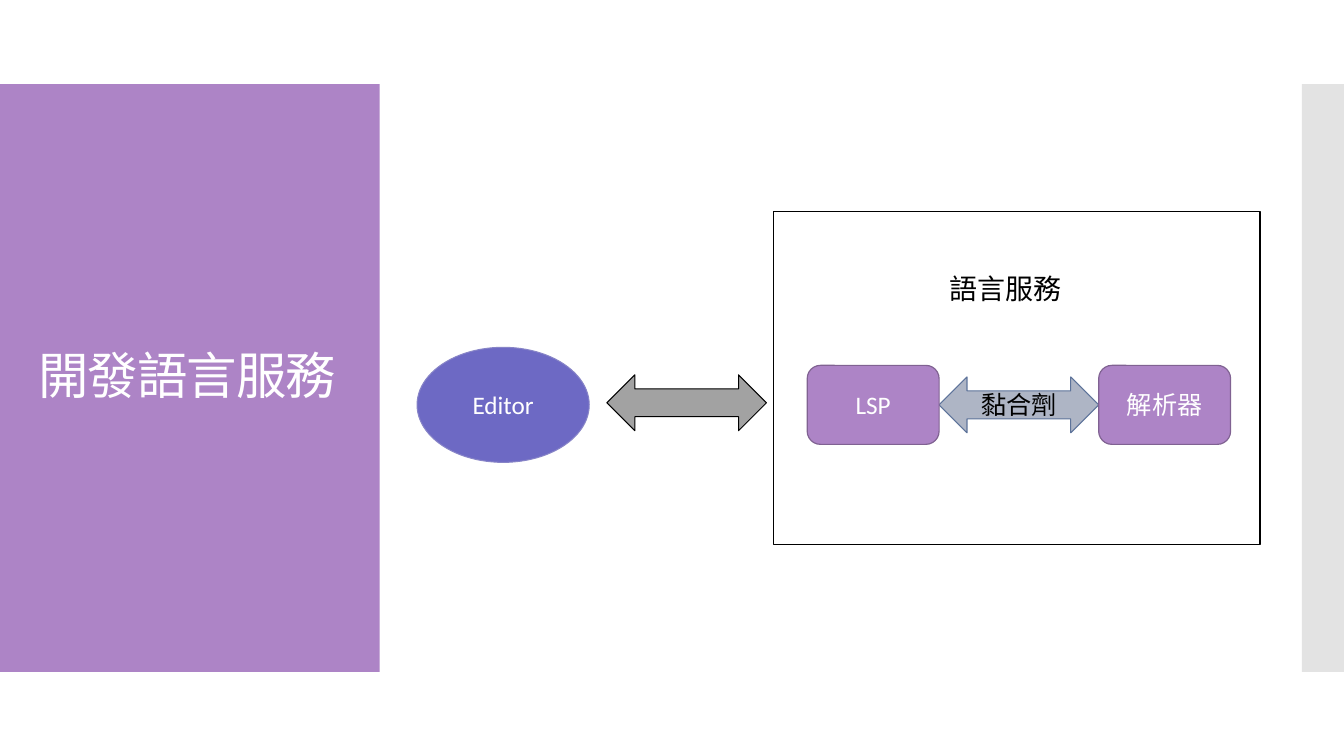
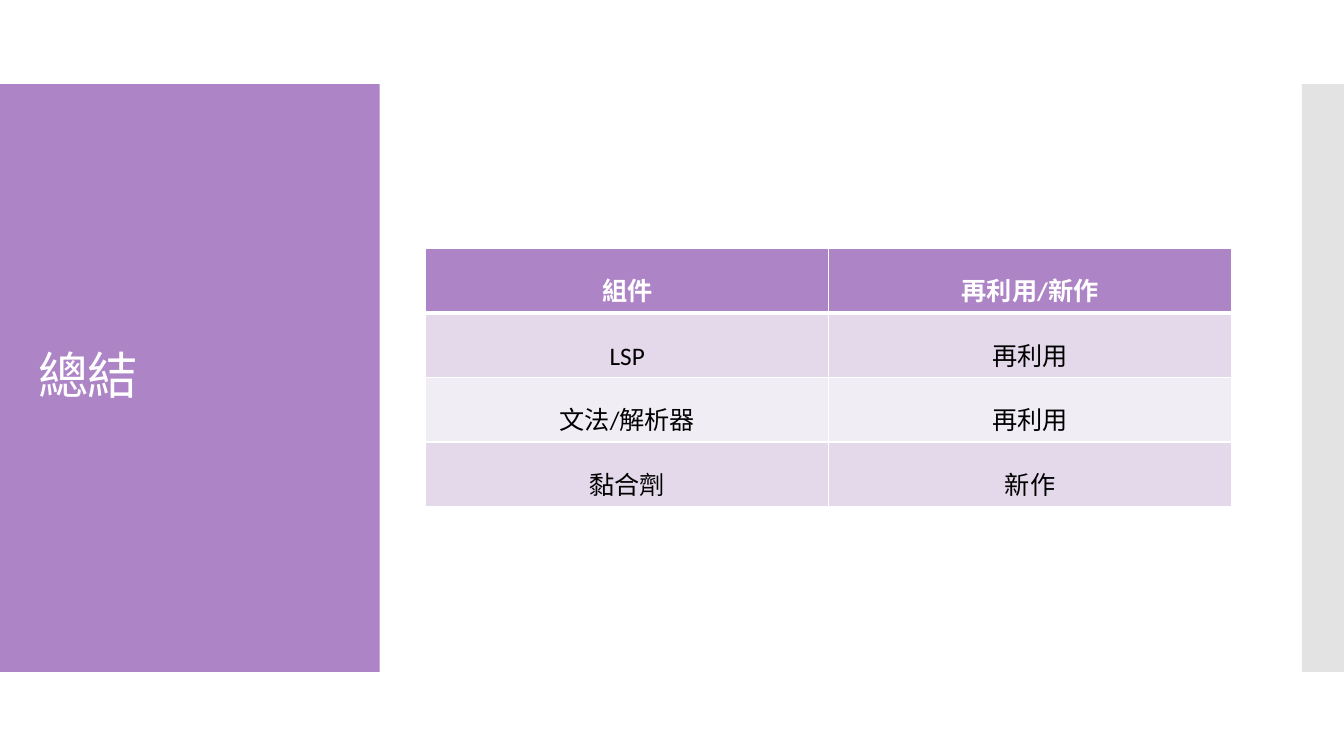
from dataclasses import dataclass
from typing import Optional

from lxml.etree import SubElement
from pptx import Presentation
from pptx.dml.color import RGBColor
from pptx.enum.shapes import MSO_SHAPE as Shape
from pptx.enum.text import MSO_ANCHOR as Anchor, PP_ALIGN as Align
from pptx.oxml.ns import qn
from pptx.util import Emu, Pt

# The slide is a grid of 32 columns by 18 rows of square cells
COLUMNS, ROWS = 32, 18
CELL = 381000


# Theme
@dataclass(frozen=True)
class Theme:
    font: str = "Calibri"
    language: str = "zh-TW"
    white: str = "FFFFFF"
    black: str = "000000"
    purple: str = "AD84C6"
    purple_edge: str = "806292"
    band_grey: str = "E3E3E3"
    indigo: str = "6D69C4"
    indigo_edge: str = "8784C7"
    steel: str = "AEB5C5"
    steel_edge: str = "5D739A"
    grey: str = "A2A2A2"
    row_dark: str = "E3D9EA"
    row_light: str = "F1EDF5"
    title_size: float = 36
    label_size: float = 20
    body_size: float = 18


THEME = Theme()


@dataclass(frozen=True)
class Area:
    left: float
    top: float
    width: float
    height: float

    def emu(self) -> list[Emu]:
        return [grid(n) for n in (self.left, self.top, self.width, self.height)]


@dataclass(frozen=True)
class Block:
    kind: Shape
    area: Area
    fill: str
    edge: Optional[str] = None
    edge_width: float = 0.75
    text: str = ""
    color: str = THEME.white


def grid(cells: float) -> Emu:
    return Emu(round(cells * CELL))


def centred(left: float, middle: float, width: float, height: float) -> Area:
    return Area(left, middle - height / 2, width, height)


# Drawing helpers
def add_span(para, text: str, size: float, color: str,
             bold: bool = False, spacing: Optional[int] = None) -> None:
    span = para.add_run()
    span.text = text
    span.font.name = THEME.font
    span.font.size = Pt(size)
    span.font.bold = bold
    span.font.color.rgb = RGBColor.from_string(color)
    properties = span._r.get_or_add_rPr()
    properties.set("lang", THEME.language)
    if spacing is not None:
        properties.set("spc", str(spacing))


def add_block(page, block: Block) -> None:
    shape = page.shapes.add_shape(block.kind, *block.area.emu())
    shape.shadow.inherit = False
    shape.fill.solid()
    shape.fill.fore_color.rgb = RGBColor.from_string(block.fill)
    if block.edge:
        shape.line.color.rgb = RGBColor.from_string(block.edge)
        shape.line.width = Pt(block.edge_width)
    else:
        shape.line.fill.background()
    if block.text:
        shape.text_frame.vertical_anchor = Anchor.MIDDLE
        para = shape.text_frame.paragraphs[0]
        para.alignment = Align.CENTER
        add_span(para, block.text, THEME.body_size, block.color)


def add_text(page, area: Area, text: str, size: float, color: str,
             anchor: Anchor = Anchor.TOP, line_spacing: float = 1.0,
             spacing: Optional[int] = None) -> None:
    box = page.shapes.add_textbox(*area.emu())
    box.text_frame.word_wrap = True
    box.text_frame.vertical_anchor = anchor
    para = box.text_frame.paragraphs[0]
    para.line_spacing = line_spacing
    add_span(para, text, size, color, spacing=spacing)


def set_borders(cell, top: float, bottom: float) -> None:
    properties = cell._tc.get_or_add_tcPr()
    widths = {"a:lnL": 1, "a:lnR": 1, "a:lnT": top, "a:lnB": bottom}
    for place, (tag, width) in enumerate(widths.items()):
        line = SubElement(properties, qn(tag), w=str(Pt(width)))
        fill = SubElement(line, qn("a:solidFill"))
        SubElement(fill, qn("a:srgbClr"), val=THEME.white)
        properties.insert(place, line)


def add_grid_table(page, area: Area, rows: list[tuple[str, ...]]) -> None:
    table = page.shapes.add_table(len(rows), len(rows[0]), *area.emu()).table
    for column in table.columns:
        column.width = grid(area.width / len(rows[0]))
    for row in table.rows:
        row.height = grid(area.height / len(rows))
    for r, texts in enumerate(rows):
        header = r == 0
        band = THEME.row_dark if r % 2 else THEME.row_light
        for c, text in enumerate(texts):
            cell = table.cell(r, c)
            cell.fill.solid()
            cell.fill.fore_color.rgb = RGBColor.from_string(
                THEME.purple if header else band)
            set_borders(cell, top=3 if r == 1 else 1, bottom=3 if header else 1)
            cell.vertical_anchor = Anchor.BOTTOM
            para = cell.text_frame.paragraphs[0]
            para.alignment = Align.CENTER
            add_span(para, text, THEME.body_size,
                     THEME.white if header else THEME.black, bold=header)


# Shared frame: title panel, edge band and title
def add_page(deck, title: str):
    page = deck.slides.add_slide(deck.slide_layouts[6])
    band_top, band_height = 2, ROWS - 4
    add_block(page, Block(Shape.RECTANGLE, Area(0, band_top, 9.04, band_height),
                          THEME.purple))
    add_block(page, Block(Shape.RECTANGLE,
                          Area(COLUMNS - 1, band_top, 1, band_height),
                          THEME.band_grey))
    add_text(page, centred(0.67, ROWS / 2, 7.73, 12.08), title,
             THEME.title_size, THEME.white, Anchor.MIDDLE, 0.9, spacing=-60)
    return page


# Slide 1: architecture of a language service
def add_architecture(deck) -> None:
    page = add_page(deck, "開發語言服務")
    add_block(page, Block(Shape.RECTANGLE, Area(18.41, 5.04, 11.59, 7.92),
                          THEME.white, THEME.black, 0.85))
    add_text(page, Area(22.37, 6.34, 5.35, 1.06), "語言服務",
             THEME.label_size, THEME.black)

    middle, chip_left, chip_width = 9.64, 19.22, 3.14
    arrow_width, arrow_height = 3.8, 1.33
    glue_left = chip_left + chip_width
    add_block(page, Block(Shape.LEFT_RIGHT_ARROW,
                          centred(glue_left, middle, arrow_width, arrow_height),
                          THEME.steel, THEME.steel_edge,
                          text="黏合劑", color=THEME.black))
    for left, text in ((chip_left, "LSP"), (glue_left + arrow_width, "解析器")):
        add_block(page, Block(Shape.ROUNDED_RECTANGLE,
                              centred(left, middle, chip_width, 1.88),
                              THEME.purple, THEME.purple_edge, 0.85, text))
    add_block(page, Block(Shape.OVAL, centred(9.93, middle, 4.1, 2.74),
                          THEME.indigo, THEME.indigo_edge, text="Editor"))
    add_block(page, Block(Shape.LEFT_RIGHT_ARROW,
                          centred(14.45, 9.59, arrow_width, arrow_height),
                          THEME.grey, THEME.black))


# Slide 2: which parts are reused and which are new
def add_summary(deck) -> None:
    page = add_page(deck, "總結")
    add_grid_table(page, Area(10.14, 5.92, 19.18, 6.14), [
        ("組件", "再利用/新作"),
        ("LSP", "再利用"),
        ("文法/解析器", "再利用"),
        ("黏合劑", "新作"),
    ])


def main() -> None:
    deck = Presentation()
    deck.slide_width, deck.slide_height = grid(COLUMNS), grid(ROWS)
    add_architecture(deck)
    add_summary(deck)
    deck.save("out.pptx")


if __name__ == "__main__":
    main()
